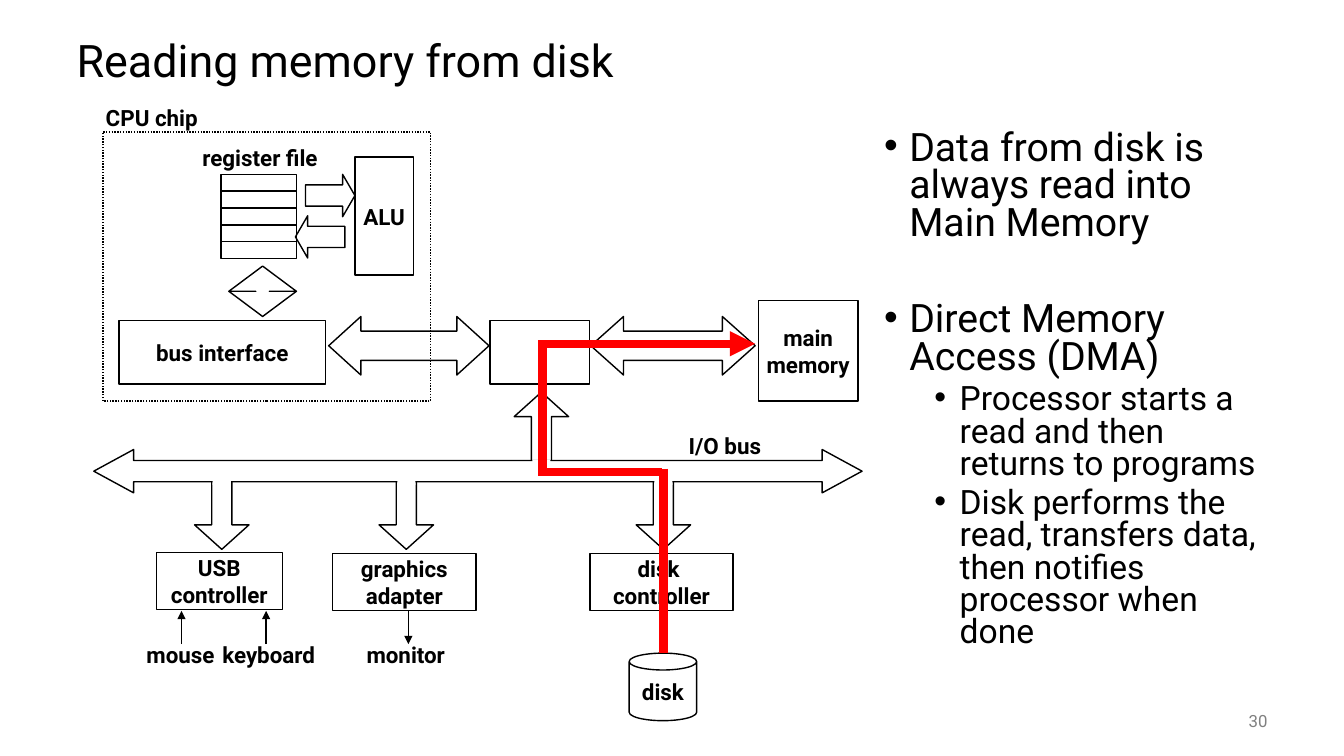
from typing import NamedTuple, Optional

from lxml.etree import SubElement
from pptx import Presentation
from pptx.dml.color import RGBColor
from pptx.enum.dml import MSO_LINE_DASH_STYLE as Dash
from pptx.enum.shapes import MSO_CONNECTOR, MSO_SHAPE as Preset
from pptx.enum.text import MSO_ANCHOR, MSO_AUTO_SIZE, PP_ALIGN
from pptx.oxml.ns import qn
from pptx.util import Inches, Pt

BLACK = RGBColor(0x00, 0x00, 0x00)
WHITE = RGBColor(0xFF, 0xFF, 0xFF)
RED = RGBColor(0xFF, 0x00, 0x00)
GRAY = RGBColor(0x80, 0x80, 0x80)
FONT = "Roboto"


class Part(NamedTuple):
    left: float
    top: float
    width: float
    height: float
    text: str = ""
    preset: Preset = Preset.RECTANGLE
    adjust: tuple[float, ...] = ()
    fill: Optional[RGBColor] = None
    outlined: bool = True
    dash: Optional[Dash] = None


class Label(NamedTuple):
    left: float
    top: float
    width: float
    text: str


class Wire(NamedTuple):
    x1: float
    y1: float
    x2: float
    y2: float
    arrow: bool = False
    color: RGBColor = BLACK
    width: float = 1


class Bullet(NamedTuple):
    text: str
    size: int
    indent: float
    before: float


def set_font(paragraph, size: float, color: RGBColor = BLACK, bold: bool = False) -> None:
    font = paragraph.font
    font.name, font.size, font.bold = FONT, Pt(size), bold
    font.color.rgb = color


def write_centered(frame, text: str) -> None:
    frame.word_wrap = False
    frame.vertical_anchor = MSO_ANCHOR.MIDDLE
    frame.text = text
    for paragraph in frame.paragraphs:
        paragraph.alignment = PP_ALIGN.CENTER
        set_font(paragraph, 16, bold=True)


def draw_part(slide, part: Part) -> None:
    shape = slide.shapes.add_shape(part.preset, *map(Inches, part[:4]))
    shape.shadow.inherit = False
    for index, value in enumerate(part.adjust):
        shape.adjustments[index] = value
    if part.fill is None:
        shape.fill.background()
    else:
        shape.fill.solid()
        shape.fill.fore_color.rgb = part.fill
    if part.outlined:
        shape.line.color.rgb = BLACK
        shape.line.width = Pt(1)
    else:
        shape.line.fill.background()
    if part.dash is not None:
        shape.line.dash_style = part.dash
    if part.text:
        write_centered(shape.text_frame, part.text)


def draw_label(slide, label: Label) -> None:
    box = slide.shapes.add_textbox(*map(Inches, (label.left, label.top, label.width, 0.37)))
    write_centered(box.text_frame, label.text)


def draw_wire(slide, wire: Wire) -> None:
    line = slide.shapes.add_connector(MSO_CONNECTOR.STRAIGHT, *map(Inches, wire[:4]))
    line.line.color.rgb = wire.color
    line.line.width = Pt(wire.width)
    properties = line.element.spPr
    if wire.arrow:
        SubElement(properties.find(qn("a:ln")), qn("a:tailEnd"), type="triangle")
    SubElement(properties, qn("a:effectLst"))


def write_bullet(paragraph, bullet: Bullet) -> None:
    paragraph.text = bullet.text
    paragraph.line_spacing = 0.8
    paragraph.space_before = Pt(bullet.before)
    properties = paragraph._p.get_or_add_pPr()
    properties.set("marL", str(Inches(bullet.indent)))
    properties.set("indent", str(Inches(-0.25)))
    SubElement(properties, qn("a:buFont"), typeface="Arial")
    SubElement(properties, qn("a:buChar"), char="•")
    set_font(paragraph, bullet.size)


# Processor, memory and the buses between them
BRANCH = (0.37, 0.45)
BRANCH_WIDTH, BRANCH_HEIGHT = 0.54, 0.75
UP_BRANCH_LEFT = 5.1
DOWN_BRANCH_LEFTS = (1.93, 3.76, 6.31)

PROCESSOR = [
    Part(7.52, 2.98, 0.99, 1, "main\nmemory"),
    Part(5.86, 3.14, 1.63, 0.58, preset=Preset.LEFT_RIGHT_ARROW, adjust=(0.5, 0.56)),
    Part(4.86, 3.18, 0.99, 0.63),
    Part(3.26, 3.14, 1.59, 0.58, preset=Preset.LEFT_RIGHT_ARROW, adjust=(0.5, 0.55)),
    *(Part(2.19, 1.73 + 0.166 * row, 0.75, 0.17) for row in range(5)),
    Part(3.03, 1.73, 0.49, 0.42, preset=Preset.RIGHT_ARROW, adjust=(0.5, 0.29)),
    Part(2.93, 2.14, 0.49, 0.42, preset=Preset.LEFT_ARROW, adjust=(0.5, 0.29)),
    Part(3.52, 1.56, 0.58, 1.17, "ALU"),
    Part(2.27, 2.64, 0.67, 0.5, preset=Preset.UP_DOWN_ARROW, adjust=(0.5, 0.2)),
    Part(1.02, 1.31, 3.25, 2.67, dash=Dash.ROUND_DOT),
    Part(1.18, 3.18, 2.05, 0.63, "bus interface"),
]

# Devices hanging off the I/O bus; white patches open the bus at each branch
DEVICES = [
    Part(UP_BRANCH_LEFT, 3.89, BRANCH_WIDTH, BRANCH_HEIGHT, preset=Preset.UP_ARROW, adjust=BRANCH),
    *(Part(left, 4.7, BRANCH_WIDTH, BRANCH_HEIGHT, preset=Preset.DOWN_ARROW, adjust=BRANCH)
      for left in DOWN_BRANCH_LEFTS),
    Part(1.55, 5.48, 1.25, 0.57, "USB\ncontroller"),
    Part(3.3, 5.49, 1.42, 0.57, "graphics\nadapter"),
    Part(5.85, 5.49, 1.42, 0.57, "disk \ncontroller"),
    Part(6.24, 6.48, 0.67, 0.67, "disk", Preset.CAN, (0.25,)),
    Part(0.93, 4.46, 7.62, 0.43, "", Preset.LEFT_RIGHT_ARROW, (0.49, 0.92), WHITE),
    *(Part(left + 0.18, 4.64, 0.18, 0.17, fill=WHITE, outlined=False)
      for left in DOWN_BRANCH_LEFTS),
    Part(UP_BRANCH_LEFT + 0.18, 4.56, 0.18, 0.17, fill=WHITE, outlined=False),
]

LABELS = [
    Label(0.91, 0.98, 1.19, "CPU chip"),
    Label(1.88, 1.38, 1.4, "register file"),
    Label(6.71, 4.24, 0.96, "I/O bus"),
    Label(1.33, 6.31, 0.92, "mouse"),
    Label(2.07, 6.31, 1.19, "keyboard"),
    Label(3.51, 6.31, 1.03, "monitor"),
]

WIRES = [
    Wire(1.8, 6.39, 1.8, 6.06, True),
    Wire(2.64, 6.39, 2.64, 6.06, True),
    Wire(4.05, 6.06, 4.05, 6.39, True),
    # Route of the data from disk to main memory
    Wire(5.34, 3.41, 7.49, 3.41, True, RED, 6),
    Wire(5.38, 3.41, 5.38, 4.65, False, RED, 6),
    Wire(5.34, 4.68, 6.57, 4.68, False, RED, 6),
    Wire(6.58, 4.65, 6.58, 6.48, False, RED, 6),
]

BULLETS = [
    Bullet("Data from disk is always read into Main Memory", 28, 0.25, 0),
    Bullet("Direct Memory Access (DMA)", 28, 0.25, 42),
    Bullet("Processor starts a read and then returns to programs", 24, 0.75, 5),
    Bullet("Disk performs the read, transfers data, then notifies processor when done", 24, 0.75, 5),
]


def main() -> None:
    deck = Presentation()
    deck.slide_width, deck.slide_height = Inches(13.33), Inches(7.5)
    slide = deck.slides.add_slide(deck.slide_layouts[5])

    # Title
    title = slide.shapes.title
    title.left, title.top, title.width, title.height = map(Inches, (0.66, 0.25, 12, 0.75))
    title.text_frame.text = "Reading memory from disk"
    title.text_frame.auto_size = MSO_AUTO_SIZE.NONE
    title.text_frame.vertical_anchor = MSO_ANCHOR.MIDDLE
    heading = title.text_frame.paragraphs[0]
    heading.alignment = PP_ALIGN.LEFT
    heading.line_spacing = 0.9
    set_font(heading, 32)

    # Explanation
    explanation = slide.shapes.add_textbox(*map(Inches, (8.67, 1.25, 4, 5.5))).text_frame
    explanation.word_wrap = True
    for index, bullet in enumerate(BULLETS):
        write_bullet(explanation.add_paragraph() if index else explanation.paragraphs[0], bullet)

    # Diagram
    for part in PROCESSOR + DEVICES:
        draw_part(slide, part)
    for label in LABELS:
        draw_label(slide, label)
    for wire in WIRES:
        draw_wire(slide, wire)

    # Page number
    page = slide.shapes.add_textbox(*map(Inches, (11.67, 6.95, 1, 0.4))).text_frame
    page.text = "30"
    page.vertical_anchor = MSO_ANCHOR.MIDDLE
    page.word_wrap = True
    page.paragraphs[0].alignment = PP_ALIGN.RIGHT
    set_font(page.paragraphs[0], 12, GRAY)

    deck.save("out.pptx")


if __name__ == "__main__":
    main()
